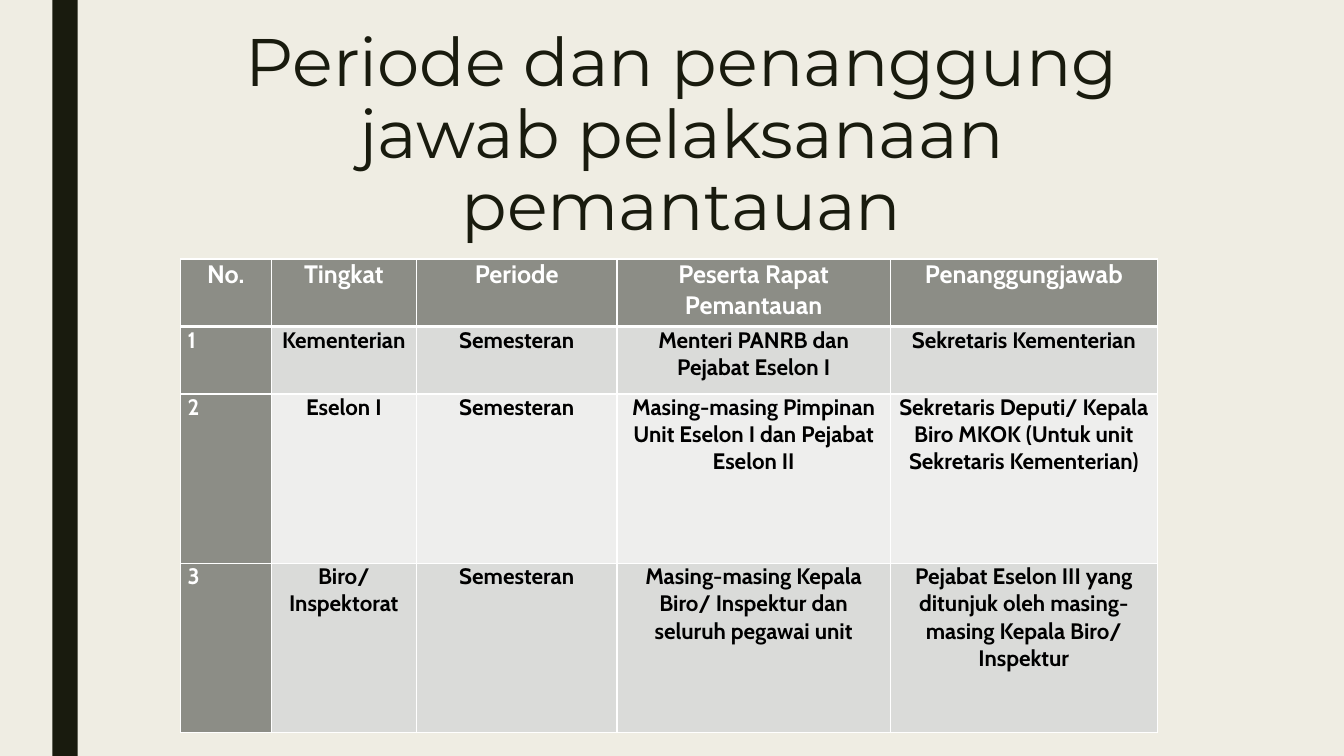
from dataclasses import dataclass

from lxml import etree
from pptx import Presentation
from pptx.dml.color import RGBColor
from pptx.enum import shapes, text
from pptx.oxml.ns import qn
from pptx.util import Inches, Pt

DARK, CREAM, WHITE, BLACK = "191B0E", "EFEDE3", "FFFFFF", "000000"
HEADER_GREY, BAND_DARK, BAND_LIGHT = "8C8D86", "DADBD9", "EEEEED"
COLUMN_WIDTHS = [0.9, 1.44, 1.99, 2.71, 2.65]
HEADINGS = ["No.", "Tingkat", "Periode", "Peserta Rapat Pemantauan", "Penanggungjawab"]


@dataclass
class Level:
    name: str
    participants: str
    responsible: str
    height: float


LEVELS = [
    Level("Kementerian", "Menteri PANRB dan Pejabat Eselon I",
          "Sekretaris Kementerian", 0.67),
    Level("Eselon I", "Masing-masing Pimpinan Unit Eselon I dan Pejabat Eselon II",
          "Sekretaris Deputi/ Kepala Biro MKOK (Untuk unit Sekretaris Kementerian)", 1.68),
    Level("Biro/ Inspektorat", "Masing-masing Kepala Biro/ Inspektur dan seluruh pegawai unit",
          "Pejabat Eselon III yang ditunjuk oleh masing-masing Kepala Biro/ Inspektur", 1.68),
]


@dataclass
class CellStyle:
    fill: str
    color: str
    size: int
    align: text.PP_ALIGN = text.PP_ALIGN.CENTER
    top: int = 1
    bottom: int = 1


def rgb(value: str) -> RGBColor:
    return RGBColor.from_string(value)


def style_paragraph(para, font: str, size: int, color: str, align, bold: bool = False) -> None:
    para.alignment = align
    for span in para.runs:
        span.font.name = font
        span.font.size = Pt(size)
        span.font.bold = bold
        span.font.color.rgb = rgb(color)


def set_borders(cell, top: int, bottom: int) -> None:
    """Draw white cell borders, one point wide at the sides."""
    properties = cell._tc.get_or_add_tcPr()
    widths = {"a:lnL": 1, "a:lnR": 1, "a:lnT": top, "a:lnB": bottom}
    for index, (tag, width) in enumerate(widths.items()):
        line = etree.Element(qn(tag), w=str(Pt(width)))
        fill = etree.SubElement(line, qn("a:solidFill"))
        etree.SubElement(fill, qn("a:srgbClr"), val=WHITE)
        properties.insert(index, line)


def fill_cell(cell, content: str, style: CellStyle) -> None:
    cell.margin_left = cell.margin_right = Inches(0.07)
    cell.margin_top = cell.margin_bottom = 0
    cell.fill.solid()
    cell.fill.fore_color.rgb = rgb(style.fill)
    set_borders(cell, style.top, style.bottom)
    cell.text_frame.text = content
    style_paragraph(cell.text_frame.paragraphs[0], "Cabin", style.size,
                    style.color, style.align, bold=True)


def add_side_bar(page) -> None:
    bar = page.shapes.add_shape(shapes.MSO_SHAPE.RECTANGLE,
                                Inches(0.52), 0, Inches(0.25), Inches(7.5))
    bar.shadow.inherit = False
    bar.fill.solid()
    bar.fill.fore_color.rgb = rgb(DARK)
    bar.line.fill.background()


def add_title(page) -> None:
    box = page.shapes.add_textbox(Inches(1.51), Inches(0.24), Inches(10.5), Inches(1.62))
    box.text_frame.word_wrap = True
    box.text_frame.text = "Periode dan penanggung jawab pelaksanaan pemantauan"
    para = box.text_frame.paragraphs[0]
    para.line_spacing = 0.89
    style_paragraph(para, "Montserrat", 48, DARK, text.PP_ALIGN.CENTER)


def add_monitoring_table(page) -> None:
    heights = [0.67] + [level.height for level in LEVELS]
    table = page.shapes.add_table(
        len(heights), len(COLUMN_WIDTHS), Inches(1.79), Inches(2.57),
        Inches(sum(COLUMN_WIDTHS)), Inches(sum(heights))).table
    for column, width in zip(table.columns, COLUMN_WIDTHS):
        column.width = Inches(width)
    for row, height in zip(table.rows, heights):
        row.height = Inches(height)

    for column, heading in enumerate(HEADINGS):
        fill_cell(table.cell(0, column), heading,
                  CellStyle(HEADER_GREY, WHITE, 18, bottom=3))
    for number, level in enumerate(LEVELS, start=1):
        top = 3 if number == 1 else 1
        band = BAND_DARK if number % 2 else BAND_LIGHT
        fill_cell(table.cell(number, 0), str(number),
                  CellStyle(HEADER_GREY, WHITE, 16, text.PP_ALIGN.JUSTIFY, top))
        details = [level.name, "Semesteran", level.participants, level.responsible]
        for column, content in enumerate(details, start=1):
            fill_cell(table.cell(number, column), content,
                      CellStyle(band, BLACK, 16, top=top))


def main() -> None:
    deck = Presentation()
    deck.slide_width, deck.slide_height = Inches(13.33), Inches(7.5)
    page = deck.slides.add_slide(deck.slide_layouts[6])
    page.background.fill.solid()
    page.background.fill.fore_color.rgb = rgb(CREAM)
    add_side_bar(page)
    add_title(page)
    add_monitoring_table(page)
    deck.save("out.pptx")


if __name__ == "__main__":
    main()
